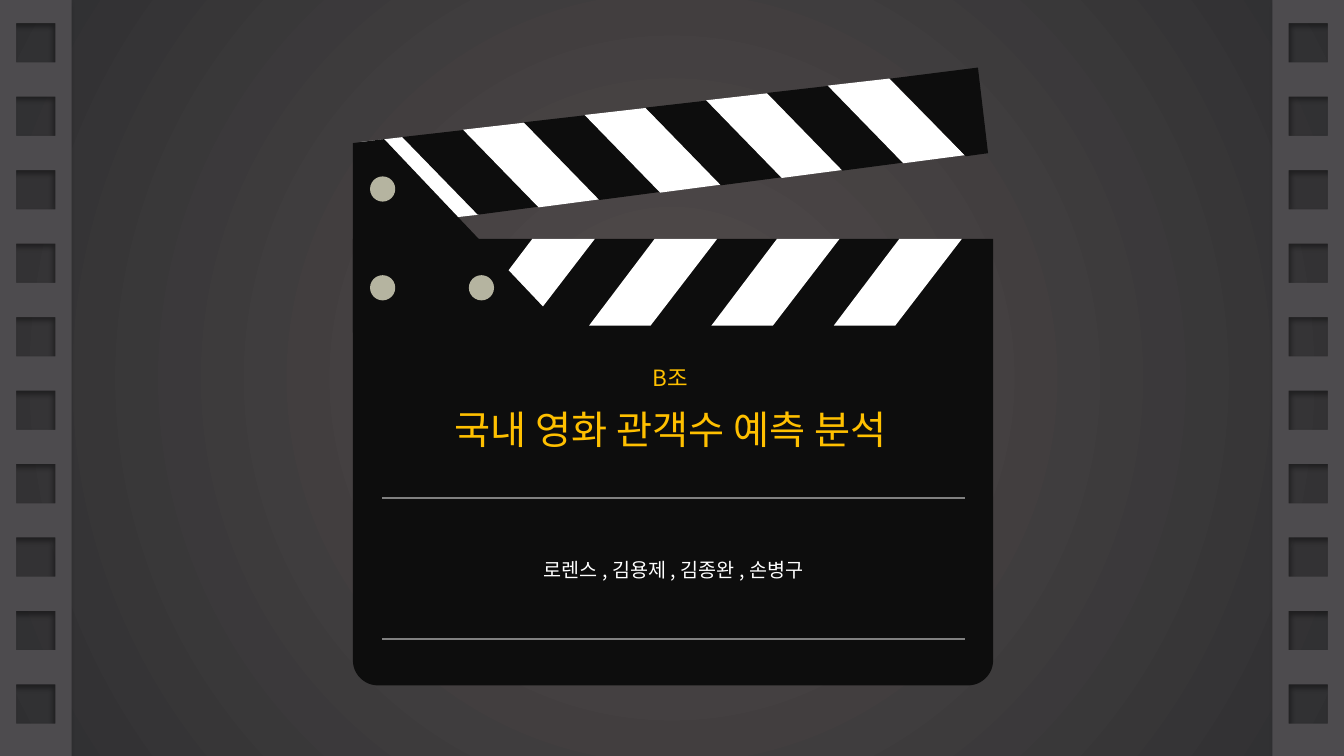
"""Build a film clapperboard title slide."""
import dataclasses

import pptx
import pptx.dml.color
import pptx.enum.shapes
import pptx.enum.text
import pptx.oxml
import pptx.oxml.ns
import pptx.util
from pptx.util import Inches

DRAWING = pptx.oxml.ns.nsdecls("a")
PRESET = pptx.enum.shapes.MSO_SHAPE


@dataclasses.dataclass(frozen=True)
class Theme:
    """Colours, font and type sizes of the slide."""
    glow: str = "524C4C"
    dusk: str = "2F2F31"
    film: str = "4D4B4E"
    board: str = "0D0D0D"
    stripe: str = "FFFFFF"
    rivet: str = "B5B4A0"
    shadow: str = "000000"
    rule: str = "808080"
    heading: str = "FFC000"
    names: str = "FFFFFF"
    font: str = "Noto Sans CJK KR"
    team_size: int = 16
    title_size: int = 28
    names_size: int = 14


THEME = Theme()


def rgb(colour):
    """Turn a hex string into a colour."""
    return pptx.dml.color.RGBColor.from_string(colour)


def paint(shape, colour):
    """Give a shape a flat fill without line or shadow."""
    shape.shadow.inherit = False
    shape.fill.solid()
    shape.fill.fore_color.rgb = rgb(colour)
    shape.line.fill.background()
    return shape


def add_outline(shapes, contours, colour):
    """Draw closed contours, in inches, as one freeform."""
    contours = [[(Inches(x), Inches(y)) for x, y in points] for points in contours]
    builder = shapes.build_freeform(*contours[0][0], scale=1.0)
    for index, points in enumerate(contours):
        if index:
            builder.move_to(*points[0])
        builder.add_line_segments(points[1:], close=True)
    return paint(builder.convert_to_shape(), colour)


def add_preset(shapes, kind, left, top, width, height, colour):
    """Draw a flat preset shape."""
    shape = shapes.add_shape(kind, Inches(left), Inches(top), Inches(width), Inches(height))
    return paint(shape, colour)


def rectangle(left, top, width, height):
    """List the corners of a rectangle."""
    right, bottom = left + width, top + height
    return [(left, top), (right, top), (right, bottom), (left, bottom)]


def style_text(para, size, colour):
    """Centre a paragraph and format its runs."""
    para.alignment = pptx.enum.text.PP_ALIGN.CENTER
    for span in para.runs:
        span.font.size = pptx.util.Pt(size)
        span.font.name = THEME.font
        span.font.color.rgb = rgb(colour)
        span._r.get_or_add_rPr().append(pptx.oxml.parse_xml(
            f'<a:ea {DRAWING} typeface="{THEME.font}"/>'))


def set_background(slide):
    """Fill the background with a round glow."""
    fill = slide.background.fill
    fill.gradient()
    for stop, colour in zip(fill.gradient_stops, (THEME.glow, THEME.dusk)):
        stop.color.rgb = rgb(colour)
    fill.gradient_stops[0].position = 0
    fill.gradient_stops[1].position = 1
    linear = slide.element.find(".//" + pptx.oxml.ns.qn("a:lin"))
    linear.getparent().replace(linear, pptx.oxml.parse_xml(
        f'<a:path {DRAWING} path="circle">'
        '<a:fillToRect l="50000" t="50000" r="50000" b="50000"/></a:path>'))


def add_film_strip(slide, left, angle):
    """Draw a perforated film strip with a soft shadow."""
    holes = [rectangle(left + 0.16, 0.23 + 6.56 / 9 * row, 0.39, 0.39) for row in range(10)]
    strip = add_outline(slide.shapes, holes + [rectangle(left, 0, 0.71, 7.5)], THEME.film)
    effects = strip.element.spPr.find(pptx.oxml.ns.qn("a:effectLst"))
    effects.append(pptx.oxml.parse_xml(
        f'<a:outerShdw {DRAWING} blurRad="{pptx.util.Pt(4)}" dist="{pptx.util.Pt(3)}" '
        f'dir="{angle * 60000}" algn="ctr" rotWithShape="0">'
        f'<a:srgbClr val="{THEME.shadow}"><a:alpha val="40000"/></a:srgbClr></a:outerShdw>'))


def add_clapperboard(slide):
    """Draw the board, its striped bars, hinge and rivets."""
    shapes = slide.shapes.add_group_shape().shapes
    board = add_preset(shapes, PRESET.ROUND_2_SAME_RECTANGLE, 3.5, 2.37, 6.35, 4.43, THEME.board)
    board.adjustments[0] = 0
    board.adjustments[1] = 0.25 / 4.43
    for index in range(4):
        left = 4.63 + 3.64 / 3 * index
        add_outline(shapes, [[(left + 0.61, 3.23), (left, 3.23),
                              (left + 0.65, 2.37), (left + 1.27, 2.37)]], THEME.stripe)
    add_outline(shapes, [[(4, 1.36), (3.57, 1.41), (4.14, 2.2), (4.75, 2.13)]], THEME.stripe)
    for index in range(8):
        left, top = 3.99 + 4.22 / 7 * index, 1.36 - 0.51 / 7 * index
        colour = THEME.stripe if index % 2 else THEME.board
        add_outline(shapes, [[(left + 0.61, top - 0.07), (left, top),
                              (left + 0.75, top + 0.77), (left + 1.36, top + 0.69)]], colour)
    add_outline(shapes, [[(9.7, 0.67), (8.83, 0.78), (9.58, 1.55), (9.8, 1.52)]], THEME.board)
    add_outline(shapes, [[(5.63, 3.3), (3.5, 3.3), (3.5, 1.42), (3.81, 1.38)]], THEME.board)
    for left, top in ((3.67, 1.75), (3.67, 2.73), (4.65, 2.73)):
        add_preset(shapes, PRESET.OVAL, left, top, 0.25, 0.25, THEME.rivet)


def add_title(slide):
    """Place the team and title lines on the board."""
    title = slide.shapes.title
    title.element.getparent().append(title.element)
    title.left, title.top = Inches(3.5), Inches(3.48)
    title.width, title.height = Inches(6.3), Inches(1.21)
    frame = title.text_frame
    frame.text = "B조\n국내 영화 관객수 예측 분석"
    frame.word_wrap = True
    frame.auto_size = pptx.enum.text.MSO_AUTO_SIZE.SHAPE_TO_FIT_TEXT
    frame.vertical_anchor = pptx.enum.text.MSO_ANCHOR.TOP
    for para, size in zip(frame.paragraphs, (THEME.team_size, THEME.title_size)):
        para.line_spacing = 1.3
        style_text(para, size, THEME.heading)


def set_borders(cell):
    """Rule a cell above and below only."""
    ruled = f'<a:solidFill><a:srgbClr val="{THEME.rule}"/></a:solidFill>'
    sides = (("lnL", "<a:noFill/>"), ("lnR", "<a:noFill/>"), ("lnT", ruled), ("lnB", ruled))
    properties = cell._tc.get_or_add_tcPr()
    for index, (side, fill) in enumerate(sides):
        properties.insert(index, pptx.oxml.parse_xml(
            f'<a:{side} {DRAWING} w="{pptx.util.Pt(1)}">{fill}</a:{side}>'))


def add_names_table(slide):
    """Add the one-cell table of team members."""
    table = slide.shapes.add_table(
        1, 1, Inches(3.79), Inches(4.94), Inches(5.78), Inches(1.4)).table
    table.first_row = table.horz_banding = False
    cell = table.cell(0, 0)
    cell.fill.background()
    cell.vertical_anchor = pptx.enum.text.MSO_ANCHOR.MIDDLE
    cell.text_frame.text = "로렌스 , 김용제 , 김종완 , 손병구"
    style_text(cell.text_frame.paragraphs[0], THEME.names_size, THEME.names)
    set_borders(cell)


def main():
    """Build and save the deck."""
    deck = pptx.Presentation()
    deck.slide_width, deck.slide_height = Inches(13.33), Inches(7.5)
    slide = deck.slides.add_slide(deck.slide_layouts.get_by_name("Title Only"))
    set_background(slide)
    for left, angle in ((0, 135), (12.62, 45)):
        add_film_strip(slide, left, angle)
    add_clapperboard(slide)
    add_title(slide)
    add_names_table(slide)
    deck.save("out.pptx")


if __name__ == "__main__":
    main()
